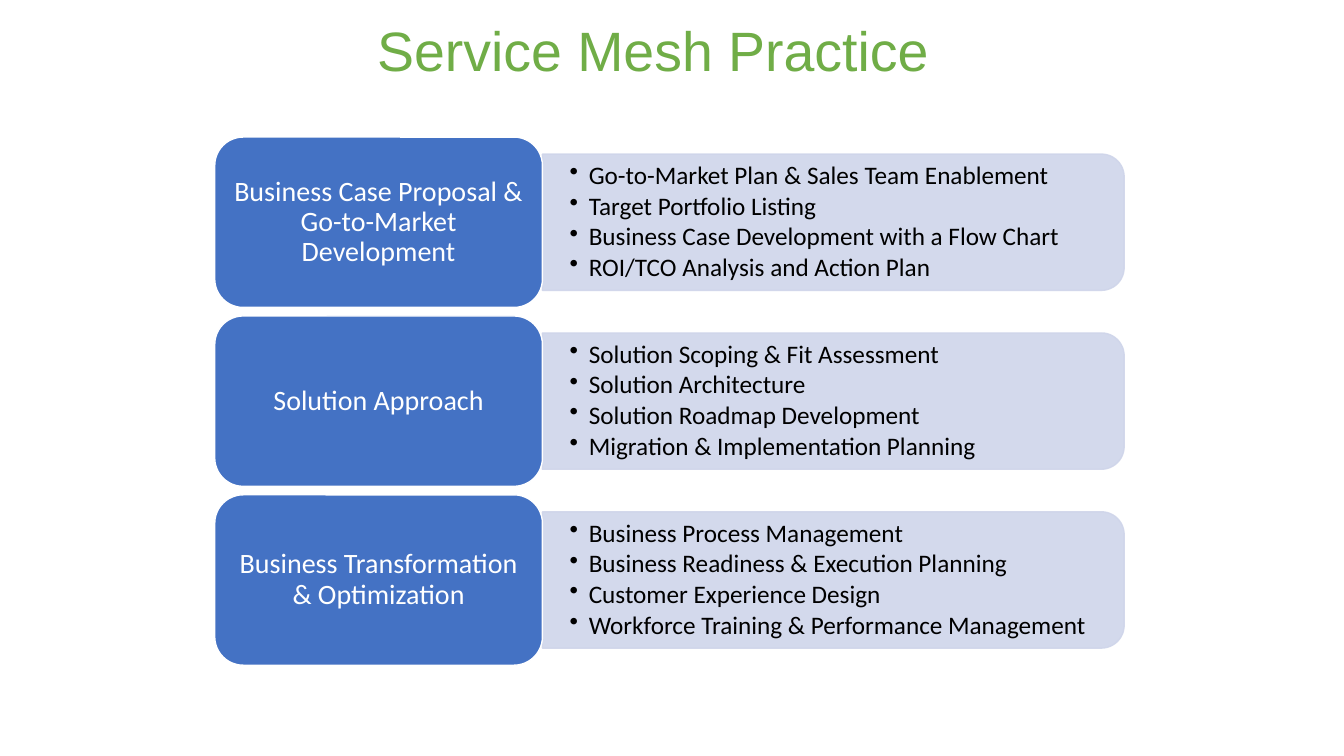
from math import cos, pi, sin

from lxml.etree import SubElement
from pptx import Presentation
from pptx.dml.color import RGBColor
from pptx.enum.shapes import MSO_SHAPE as SHAPE
from pptx.enum.text import MSO_ANCHOR as ANCHOR, MSO_AUTO_SIZE as AUTO_SIZE, PP_ALIGN as ALIGN
from pptx.oxml.ns import qn
from pptx.util import Inches, Pt

TITLE = "Service Mesh Practice"
STAGES = [
    ("Business Case Proposal & Go-to-Market Development", [
        "Go-to-Market Plan & Sales Team Enablement",
        "Target Portfolio Listing",
        "Business Case Development with a Flow Chart",
        "ROI/TCO Analysis and Action Plan",
    ]),
    ("Solution Approach", [
        "Solution Scoping & Fit Assessment",
        "Solution Architecture",
        "Solution Roadmap Development",
        "Migration & Implementation Planning",
    ]),
    ("Business Transformation & Optimization", [
        "Business Process Management",
        "Business Readiness & Execution Planning",
        "Customer Experience Design",
        "Workforce Training & Performance Management",
    ]),
]

GREEN = RGBColor(0x70, 0xAD, 0x47)
BLUE = RGBColor(0x44, 0x72, 0xC4)
PALE = RGBColor(0xCF, 0xD5, 0xEA)
WHITE = RGBColor(0xFF, 0xFF, 0xFF)
BLACK = RGBColor(0x00, 0x00, 0x00)

LEFT, TOP = 2.13, 1.36
CARD_WIDTH, CARD_HEIGHT = 3.25, 1.69
PANEL_WIDTH = 5.77
PANEL_HEIGHT = CARD_HEIGHT * 0.8
PITCH = CARD_HEIGHT * 1.05
CORNER = PANEL_HEIGHT / 6
ARC_STEPS = 12


def paint(shape, fill, line):
    shape.shadow.inherit = False
    shape.fill.solid()
    shape.fill.fore_color.rgb = fill
    shape.line.color.rgb = line
    shape.line.width = Pt(1)


def write(shape, lines, size, color, align, gap, insets):
    frame = shape.text_frame
    frame.word_wrap = True
    frame.vertical_anchor = ANCHOR.MIDDLE
    frame.margin_left, frame.margin_top, frame.margin_right, frame.margin_bottom = map(Inches, insets)
    frame.text = "\n".join(lines)
    for para in frame.paragraphs:
        para.alignment = align
        para.line_spacing = 0.9
        para.space_after = Pt(gap)
        font = para.runs[0].font
        font.name, font.size, font.color.rgb = "Calibri", Pt(size), color


def add_panel(slide, left, top, items):
    right, bottom = left + PANEL_WIDTH, top + PANEL_HEIGHT
    angles = [pi / 2 * step / ARC_STEPS for step in range(ARC_STEPS + 1)]
    upper = [(right - CORNER + CORNER * sin(a), top + CORNER - CORNER * cos(a)) for a in angles]
    lower = [(x, top + bottom - y) for x, y in reversed(upper)]
    builder = slide.shapes.build_freeform(Inches(left), Inches(top))
    outline = upper + lower + [(left, bottom)]
    builder.add_line_segments([(Inches(x), Inches(y)) for x, y in outline])
    panel = builder.convert_to_shape()
    paint(panel, PALE, PALE)
    for color in panel.fill._xPr.iter(qn("a:srgbClr")):
        SubElement(color, qn("a:alpha"), val="90000")
    write(panel, items, 18, BLACK, ALIGN.LEFT, 2.5, (0.27, 0.2, 0.34, 0.2))
    for para in panel.text_frame.paragraphs:
        para.level = 1
        properties = para._p.get_or_add_pPr()
        properties.set("marL", str(Inches(0.19)))
        properties.set("indent", str(-Inches(0.19)))
        SubElement(properties, qn("a:buChar"), char="•")


def add_card(slide, left, top, label):
    card = slide.shapes.add_shape(
        SHAPE.ROUNDED_RECTANGLE, Inches(left), Inches(top), Inches(CARD_WIDTH), Inches(CARD_HEIGHT))
    paint(card, BLUE, WHITE)
    write(card, [label], 20, WHITE, ALIGN.CENTER, 0, (0.09, 0.04, 0.09, 0.04))


def add_title(slide):
    title = slide.shapes.title
    title.left, title.top, title.width, title.height = map(Inches, (0.92, 0.28, 11.5, 0.5))
    write(title, [TITLE], 39.6, GREEN, ALIGN.LEFT, 0, (2.82, 0.05, 0.1, 0.05))
    title.text_frame.auto_size = AUTO_SIZE.NONE
    title.text_frame.paragraphs[0].runs[0].font.name = "Arial"


def main():
    deck = Presentation()
    deck.slide_width, deck.slide_height = Inches(13.33), Inches(7.5)
    slide = deck.slides.add_slide(deck.slide_layouts[5])
    add_title(slide)
    for row, (label, items) in enumerate(STAGES):
        top = TOP + row * PITCH
        add_panel(slide, LEFT + CARD_WIDTH, top + (CARD_HEIGHT - PANEL_HEIGHT) / 2, items)
        add_card(slide, LEFT, top, label)
    deck.save("out.pptx")


if __name__ == "__main__":
    main()
